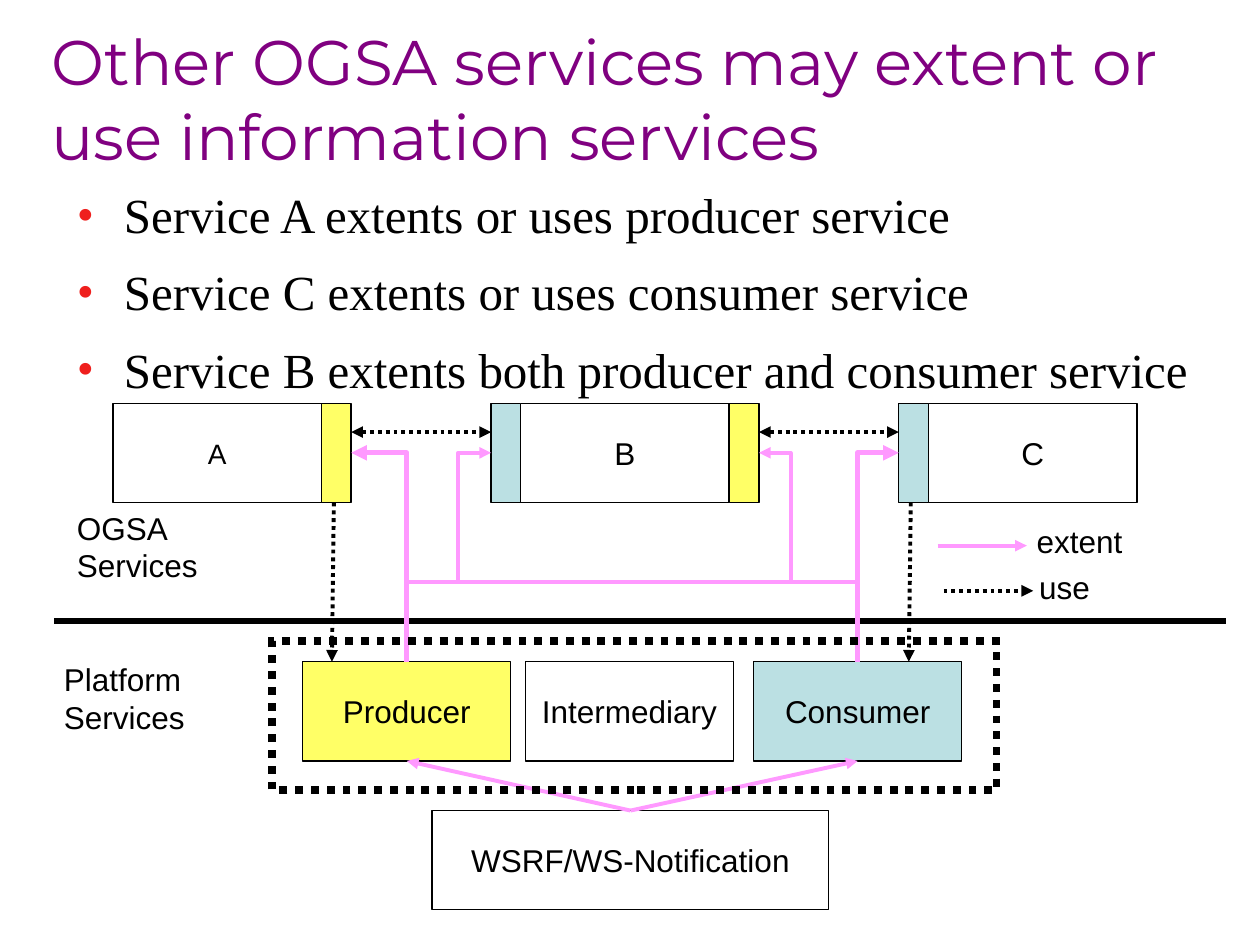
from dataclasses import dataclass
from typing import Optional

from lxml import etree
from pptx import Presentation
from pptx.dml.color import RGBColor
from pptx.enum import dml, shapes, text
from pptx.oxml.ns import qn
from pptx.util import Cm, Pt

BLACK = RGBColor(0x00, 0x00, 0x00)
WHITE = RGBColor(0xFF, 0xFF, 0xFF)
PURPLE = RGBColor(0x80, 0x00, 0x80)
YELLOW = RGBColor(0xFF, 0xFF, 0x66)
TEAL = RGBColor(0xBB, 0xE0, 0xE3)
PINK = RGBColor(0xFF, 0x99, 0xFF)
RED = RGBColor(0xEF, 0x1F, 0x1D)

# Grid in centimetres
WIDE, HIGH, TAB = 4.2, 2.0, 0.6
TOP, PLAT, BASE = 8.13, 13.34, 16.34
LEFT, PITCH = 2.28, 8.22
MID = TOP + HIGH / 2


@dataclass
class Box:
    x: float
    y: float
    label: str = ""
    fill: Optional[RGBColor] = WHITE
    w: float = WIDE
    h: float = HIGH
    size: int = 18
    line: float = 0.75
    dots: bool = False


@dataclass
class Arrow:
    x1: float
    y1: float
    x2: float
    y2: float
    color: RGBColor = BLACK
    width: float = 2.25
    ends: tuple = ("tail",)
    dots: bool = False


deck = Presentation()
deck.slide_width, deck.slide_height = Cm(25.4), Cm(19.05)
slide = deck.slides.add_slide(deck.slide_layouts[6])


def write(frame, words: str, *, size: int = 18, font: str = "Arial",
          color: RGBColor = BLACK, align=None, anchor=text.MSO_ANCHOR.TOP,
          wrap: bool = False, bullet: bool = False) -> None:
    frame.word_wrap = wrap
    frame.vertical_anchor = anchor
    for i, line in enumerate(words.split("\n")):
        para = frame.paragraphs[0] if i == 0 else frame.add_paragraph()
        para.alignment = align
        if bullet:
            para.line_spacing = 0.9
            para.space_before = Pt(14 if i else 0)
            props = para._p.get_or_add_pPr()
            props.set("marL", str(Cm(0.95)))
            props.set("indent", str(Cm(-0.95)))
            tint = etree.SubElement(props, qn("a:buClr"))
            etree.SubElement(tint, qn("a:srgbClr"), val=str(RED))
            etree.SubElement(props, qn("a:buFont"), typeface=font)
            etree.SubElement(props, qn("a:buChar"), char="•")
        run = para.add_run()
        run.text = line
        run.font.size, run.font.name = Pt(size), font
        run.font.color.rgb = color


def note(x: float, y: float, w: float, h: float, words: str, **form) -> None:
    box = slide.shapes.add_textbox(Cm(x), Cm(y), Cm(w), Cm(h))
    write(box.text_frame, words, **form)


def draw(box: Box):
    shape = slide.shapes.add_shape(shapes.MSO_SHAPE.RECTANGLE, Cm(box.x),
                                   Cm(box.y), Cm(box.w), Cm(box.h))
    shape.shadow.inherit = False
    if box.fill is None:
        shape.fill.background()
    else:
        shape.fill.solid()
        shape.fill.fore_color.rgb = box.fill
    shape.line.color.rgb, shape.line.width = BLACK, Pt(box.line)
    if box.dots:
        shape.line.dash_style = dml.MSO_LINE.ROUND_DOT
        edge = shape.element.spPr.find(qn("a:ln"))
        etree.SubElement(edge, qn("a:miter"), lim="800000")
    if box.label:
        write(shape.text_frame, box.label, size=box.size,
              align=text.PP_ALIGN.CENTER, anchor=text.MSO_ANCHOR.MIDDLE)
    return shape


def link(arrow: Arrow, kind=shapes.MSO_CONNECTOR.STRAIGHT):
    wire = slide.shapes.add_connector(kind, Cm(arrow.x1), Cm(arrow.y1),
                                      Cm(arrow.x2), Cm(arrow.y2))
    wire.line.color.rgb, wire.line.width = arrow.color, Pt(arrow.width)
    if arrow.dots:
        wire.line.dash_style = dml.MSO_LINE.ROUND_DOT
    props = wire.element.spPr
    for end in arrow.ends:
        etree.SubElement(props.find(qn("a:ln")), qn(f"a:{end}End"),
                         type="triangle")
    etree.SubElement(props, qn("a:effectLst"))
    return wire


def bend(x1: float, y1: float, x2: float, y2: float, width: float,
         turns: tuple = ()) -> None:
    """Elbow that leaves upwards: a quarter turn of a sideways connector."""
    side = 1 if x2 > x1 else -1
    mx, my = (x1 + x2) / 2, (y1 + y2) / 2
    dx, dy = side * (y1 - y2) / 2, abs(x2 - x1) / 2
    wire = link(Arrow(mx + dx, my + dy, mx - dx, my - dy, PINK, width),
                shapes.MSO_CONNECTOR.ELBOW)
    props = wire.element.spPr
    props.find(qn("a:xfrm")).set("rot", str((180 - 90 * side) * 60000))
    geom = props.find(qn("a:prstGeom"))
    geom.set("prst", "bentConnector4" if turns else "bentConnector2")
    guides = geom.find(qn("a:avLst"))
    for i, turn in enumerate(turns, 1):
        etree.SubElement(guides, qn("a:gd"), name=f"adj{i}",
                         fmla=f"val {round(turn * 100000)}")


# Title and bullets
note(0.79, 0.99, 24.61, 1.96, "Other OGSA services may extent or use information services",
     size=36, font="Montserrat", color=PURPLE, wrap=True,
     anchor=text.MSO_ANCHOR.MIDDLE)
note(1.3, 3.73, 24.1, 3.68,
     "Service A extents or uses producer service\n"
     "Service C extents or uses consumer service\n"
     "Service B extents both producer and consumer service",
     size=28, font="Times New Roman", wrap=True, bullet=True)

# OGSA services with their coloured side tabs
a, b, c = (LEFT + i * PITCH for i in range(3))
for x, name, size in ((a, "A", 16), (b, "B", 18), (c, "C", 18)):
    draw(Box(x, TOP, name, size=size))
for x in (b, c):
    draw(Box(x - TAB, TOP, fill=TEAL, w=TAB))
for x in (a, b):
    draw(Box(x + WIDE, TOP, fill=YELLOW, w=TAB))

# Divider and platform services
link(Arrow(1.09, 12.52, 24.71, 12.52, width=3, ends=()))
maker = draw(Box(6.1, PLAT, "Producer", YELLOW))
user = draw(Box(15.19, PLAT, "Consumer", TEAL))
root = draw(Box(8.71, BASE, "WSRF/WS-Notification", w=8))

# Extent arrows
make, use = 6.1 + WIDE / 2, 15.19 + WIDE / 2
for goal, x in ((maker, make), (user, use)):
    wire = link(Arrow(12.71, BASE, x, PLAT + HIGH, PINK))
    wire.begin_connect(root, 0)
    wire.end_connect(goal, 2)
bend(use, PLAT, c - TAB, MID, 3)
bend(use, PLAT, b - TAB, MID, 2.25, (0.38, 1.09))
bend(make, PLAT, b + WIDE + TAB, MID, 2.25, (0.38, 1.09))
bend(make, PLAT, a + WIDE + TAB, MID, 3)

# Layer names and platform frame
note(1.04, 13.18, 2.95, 1.78, "Platform\nServices")
note(1.3, 10.13, 2.95, 1.78, "OGSA\nServices")
draw(Box(5.49, 12.93, fill=None, w=14.6, h=3, line=4.5, dots=True))

# Use arrows between services
for x in (a, b):
    link(Arrow(x + WIDE + TAB, 8.71, x + PITCH - TAB, 8.71,
               ends=("head", "tail"), dots=True))

# Legend
link(Arrow(18.9, 11, 20.7, 11, PINK))
link(Arrow(19.02, 11.91, 20.83, 11.91, dots=True))
note(20.65, 10.39, 2.5, 1.02, "extent")
note(20.7, 11.33, 2, 1.02, "use")

# Intermediary and use arrows down to the platform
draw(Box(10.59, PLAT, "Intermediary", None))
for x in (6.73, 18.36):
    link(Arrow(x, TOP + HIGH, x - 0.04, PLAT, dots=True))

deck.save("out.pptx")
